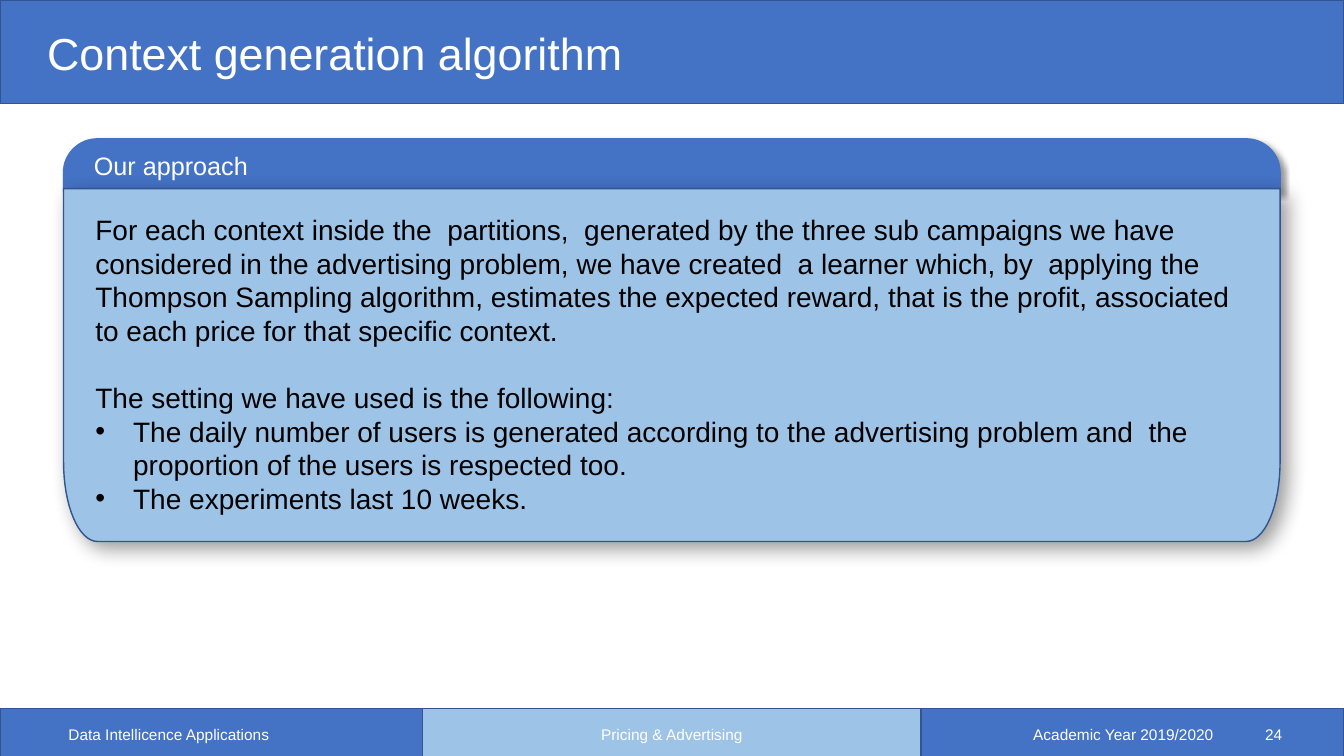
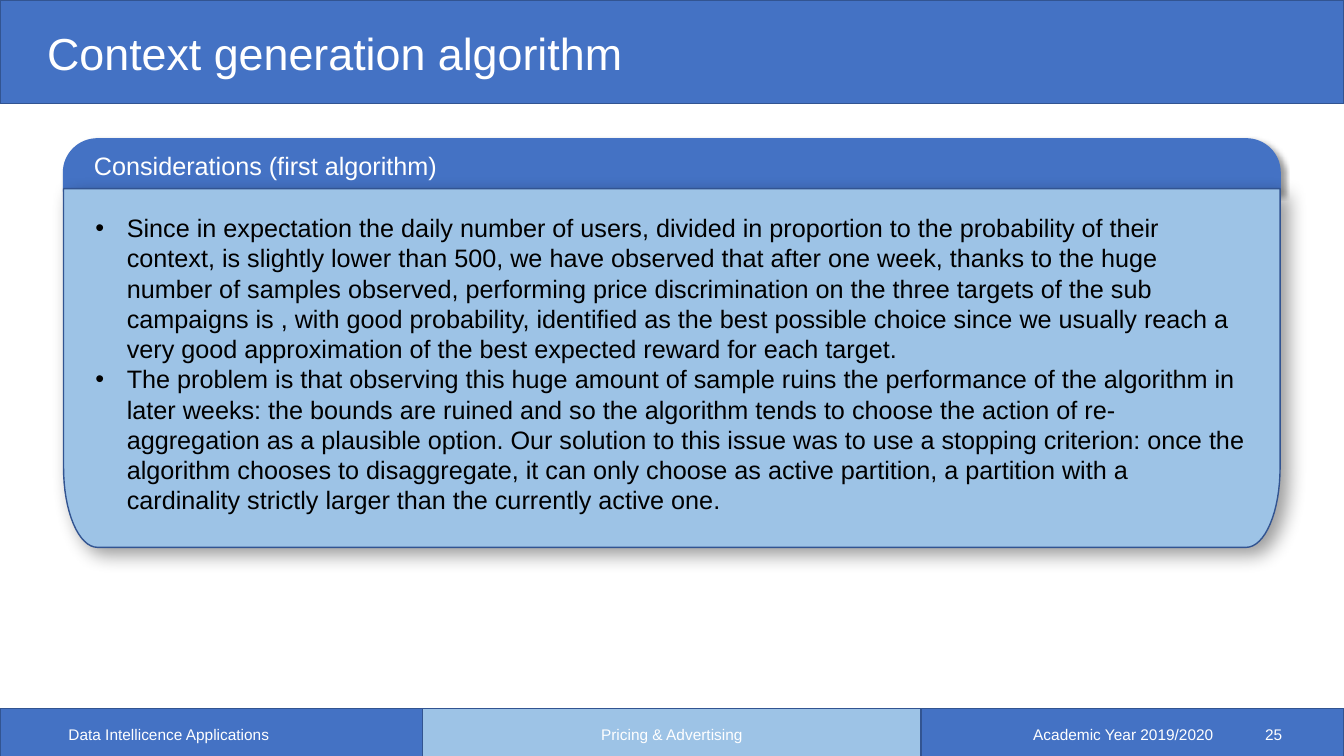
from math import cos, pi, sin

from lxml import etree
from pptx import Presentation
from pptx.dml.color import RGBColor
from pptx.enum.shapes import MSO_SHAPE
from pptx.enum.text import MSO_ANCHOR, MSO_AUTO_SIZE, PP_ALIGN
from pptx.oxml.ns import qn
from pptx.util import Pt

COLORS = {"blue": "4472C4", "light": "9DC3E6", "edge": "325491",
          "white": "FFFFFF", "black": "000000"}
WIDTH, HEIGHT = 960, 540
MARGIN, PANEL_WIDTH, CORNER = 45.4, 869, 24.2
HEADER_TOP, BODY_TOP = 99.2, 134.8
FOOTER_TOP = 506


class Deck:
    """Holds the shared style and the slide being built."""

    def __init__(self):
        self.prs = Presentation()
        self.prs.slide_width, self.prs.slide_height = Pt(WIDTH), Pt(HEIGHT)
        self.s = None

    def color(self, name):
        return RGBColor.from_string(COLORS[name])

    def paint(self, sp, fill, line):
        sp.shadow.inherit = False
        sp.fill.solid()
        sp.fill.fore_color.rgb = self.color(fill)
        sp.line.color.rgb = self.color(line)
        sp.line.width = Pt(1)

    def band(self, x, y, w, h, fill):
        sp = self.s.shapes.add_shape(MSO_SHAPE.RECTANGLE, Pt(x), Pt(y), Pt(w), Pt(h))
        self.paint(sp, fill, "edge")

    def shadow(self, sp, blur, distance):
        effects = sp._element.spPr.find(qn("a:effectLst"))
        shadow = etree.SubElement(effects, qn("a:outerShdw"), {
            "blurRad": str(Pt(blur)), "dist": str(Pt(distance)),
            "dir": str(45 * 60000), "algn": "tl", "rotWithShape": "0"})
        tint = etree.SubElement(shadow, qn("a:srgbClr"), val=COLORS["black"])
        etree.SubElement(tint, qn("a:alpha"), val="40000")

    def panel(self, round_y, flat_y, radius, fill, line, blur, distance):
        side = 1 if flat_y > round_y else -1
        angles = [pi / 2 * i / 16 for i in range(17)]
        arc = [(CORNER * (1 - cos(a)), round_y + side * radius * (1 - sin(a)))
               for a in angles]
        outline = [(MARGIN + dx, y) for dx, y in arc]
        outline += [(MARGIN + PANEL_WIDTH - dx, y) for dx, y in reversed(arc)]
        outline += [(MARGIN + PANEL_WIDTH, flat_y), (MARGIN, flat_y)]
        points = [(Pt(x), Pt(y)) for x, y in outline]
        builder = self.s.shapes.build_freeform(*points[0])
        builder.add_line_segments(points[1:], close=True)
        sp = builder.convert_to_shape()
        self.paint(sp, fill, line)
        self.shadow(sp, blur, distance)

    def text(self, x, y, w, h, items, size, color="white", align=PP_ALIGN.LEFT,
             anchor=MSO_ANCHOR.MIDDLE, spacing=None, indent=0, grow=False):
        tf = self.s.shapes.add_textbox(Pt(x), Pt(y), Pt(w), Pt(h)).text_frame
        tf.word_wrap, tf.vertical_anchor = True, anchor
        if grow:
            tf.auto_size = MSO_AUTO_SIZE.SHAPE_TO_FIT_TEXT
        for i, (text, bullet, before) in enumerate(items):
            p = tf.add_paragraph() if i else tf.paragraphs[0]
            for key, value in {"alignment": align, "line_spacing": spacing,
                               "space_before": Pt(before)}.items():
                setattr(p, key, value)
            if bullet:
                self.bullet(p, indent)
            r = p.add_run()
            r.text = text
            for key, value in {"name": "Arial", "size": Pt(size)}.items():
                setattr(r.font, key, value)
            r.font.color.rgb = self.color(color)

    def bullet(self, p, indent):
        pPr = p._p.get_or_add_pPr()
        pPr.set("marL", str(Pt(indent)))
        pPr.set("indent", str(-Pt(indent)))
        etree.SubElement(pPr, qn("a:buFont"), typeface="Arial")
        etree.SubElement(pPr, qn("a:buChar"), char="•")

    def label(self, x, y, w, h, text, size, **style):
        self.text(x, y, w, h, [(text, False, 0)], size, **style)

    def slide(self, title, number):
        self.s = self.prs.slides.add_slide(self.prs.slide_layouts[6])
        self.band(0, FOOTER_TOP, WIDTH, 35, "blue")
        self.band(302, FOOTER_TOP, 356, 35, "light")
        self.band(0, 0, WIDTH, 74, "blue")
        self.label(26.6, 17, 828, 46, title, 32, spacing=0.9)
        for x, w, text, align in (
                (41.8, 216, "Data Intellicence Applications", PP_ALIGN.LEFT),
                (318, 324, "Pricing & Advertising", PP_ALIGN.CENTER),
                (674, 200, "Academic Year 2019/2020", PP_ALIGN.RIGHT),
                (883, 40, str(number), PP_ALIGN.RIGHT)):
            self.label(x, 515, w, 19, text, 11, align=align)

    def card(self, heading, items, bottom, size, indent):
        self.panel(HEADER_TOP, 136.8, 24, "blue", "blue", 4, 3)
        self.panel(bottom, BODY_TOP, 57, "light", "edge", 14, 7)
        self.text(61, 148.3, 838, 225.4, items, size, "black",
                  anchor=MSO_ANCHOR.TOP, indent=indent, grow=True)
        self.label(60, 103.8, 560, 29, heading, 18,
                   anchor=MSO_ANCHOR.TOP, grow=True)


SLIDES = [
    {"heading": "Our approach", "bottom": 386.8, "size": 20, "indent": 27, "items": [
        ("For each context inside the  partitions,  generated by the three sub campaigns "
         "we have considered in the advertising problem, we have created  a learner which, "
         "by  applying the Thompson Sampling algorithm, estimates the expected reward, "
         "that is the profit, associated to each price for that specific context.", False, 0),
        ("The setting we have used is the following:", False, 24),
        ("The daily number of users is generated according to the advertising problem "
         "and  the proportion of the users is respected too.", True, 0),
        ("The experiments last 10 weeks.", True, 0)]},
    {"heading": "Considerations (first algorithm)", "bottom": 391, "size": 18,
     "indent": 22.5, "items": [
        ("Since in expectation the daily number of users, divided in proportion to the "
         "probability of their context, is slightly lower than 500, we have observed that "
         "after one week, thanks to the huge number of samples observed, performing price "
         "discrimination on the three targets of the sub campaigns is , with good "
         "probability, identified as the best possible choice since we usually reach a "
         "very good approximation of the best expected reward for each target.", True, 0),
        ("The problem is that observing this huge amount of sample ruins the performance "
         "of the algorithm in later weeks: the bounds are ruined and so the algorithm "
         "tends to choose the action of re-aggregation as a plausible option. Our solution "
         "to this issue was to use a stopping criterion: once the algorithm chooses to "
         "disaggregate, it can only choose as active partition, a partition with a "
         "cardinality strictly larger than the currently active one.", True, 0)]},
]


def main():
    deck = Deck()
    for number, content in enumerate(SLIDES, 24):
        deck.slide("Context generation algorithm", number)
        deck.card(**content)
    deck.prs.save("out.pptx")


if __name__ == "__main__":
    main()
